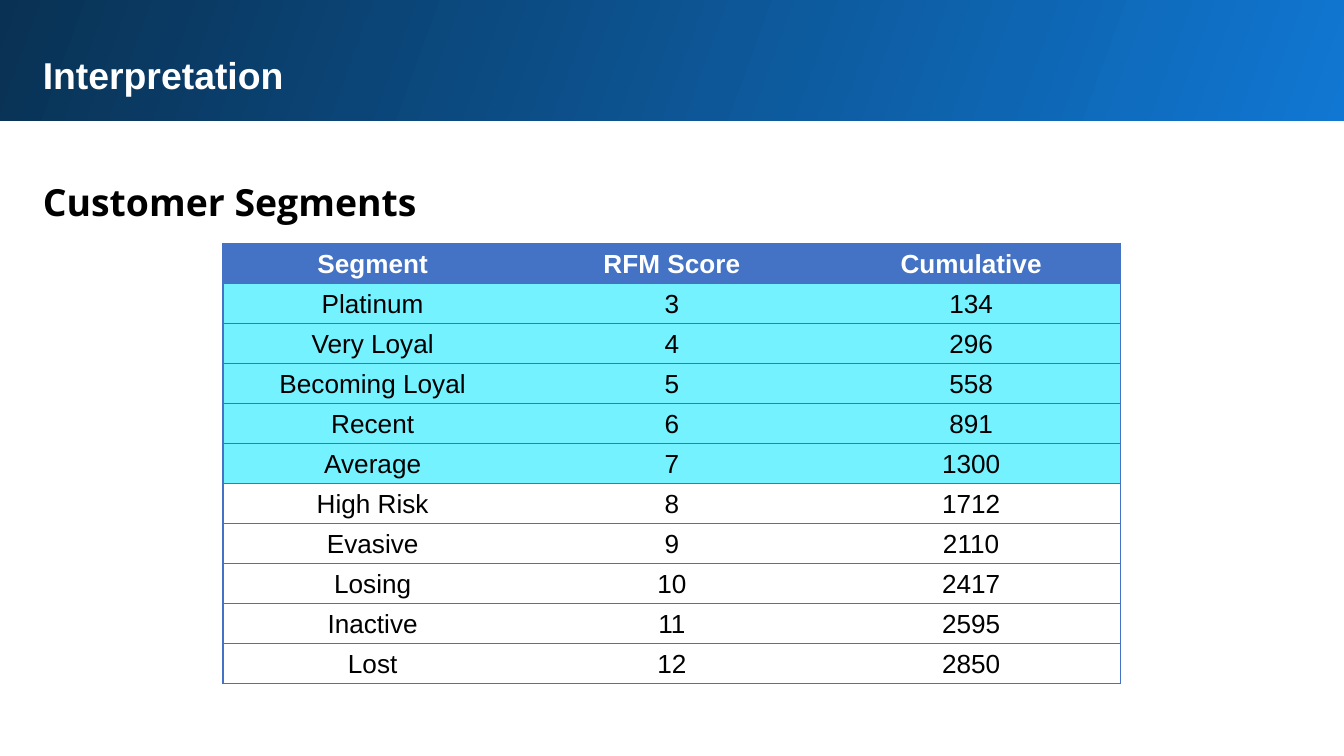
from lxml import etree
from pptx import Presentation
from pptx.dml.color import RGBColor
from pptx.enum.shapes import MSO_SHAPE
from pptx.enum.text import MSO_ANCHOR, MSO_AUTO_SIZE, PP_ALIGN
from pptx.oxml.ns import qn
from pptx.util import Inches, Pt

RECTANGLE = MSO_SHAPE.RECTANGLE
MIDDLE = MSO_ANCHOR.MIDDLE
FIT_SHAPE = MSO_AUTO_SIZE.SHAPE_TO_FIT_TEXT
CENTER = PP_ALIGN.CENTER

COLORS = {
    "white": "FFFFFF",
    "black": "000000",
    "bright": "1077D2",
    "navy": "093153",
    "header": "4472C4",
    "highlight": "75F2FF",
}
SLIDE_WIDTH = 10
SLIDE_HEIGHT = SLIDE_WIDTH * 9 / 16
TABLE_WIDTH = 6.68
TABLE_HEIGHT = 3.28
BORDER_WIDTH = 0.75
HIGHLIGHTED_ROWS = 5
SEGMENTS = [
    ("Segment", "RFM Score", "Cumulative"),
    ("Platinum", 3, 134),
    ("Very Loyal", 4, 296),
    ("Becoming Loyal", 5, 558),
    ("Recent", 6, 891),
    ("Average", 7, 1300),
    ("High Risk", 8, 1712),
    ("Evasive", 9, 2110),
    ("Losing", 10, 2417),
    ("Inactive", 11, 2595),
    ("Lost", 12, 2850),
]


def rgb(name):
    return RGBColor.from_string(COLORS[name])


def set_attributes(target, values):
    for name, value in values.items():
        setattr(target, name, value)


def write_text(paragraph, text, size, font_name, color, bold):
    run = paragraph.add_run()
    run.text = text
    set_attributes(run.font, {"size": Pt(size), "name": font_name, "bold": bold})
    run.font.color.rgb = rgb(color)


def add_banner(slide, left, top, width, height):
    shape = slide.shapes.add_shape(
        RECTANGLE, Inches(left), Inches(top), Inches(width), Inches(height)
    )
    shape.shadow.inherit = False
    shape.line.fill.background()
    shape.fill.gradient()
    shape.fill.gradient_angle = 160
    for stop, color, position in zip(
        shape.fill.gradient_stops, ("bright", "navy"), (0, 1)
    ):
        stop.position = position
        stop.color.rgb = rgb(color)


def add_heading(slide, text, top, height, font_name, color, line_spacing):
    shape = slide.shapes.add_textbox(
        Inches(0.22), Inches(top), Inches(9.37), Inches(height)
    )
    frame = shape.text_frame
    margins = ("margin_left", "margin_right", "margin_top", "margin_bottom")
    set_attributes(frame, {name: Inches(0.1) for name in margins})
    set_attributes(frame, {"word_wrap": True, "auto_size": FIT_SHAPE})
    paragraph = frame.paragraphs[0]
    paragraph.line_spacing = line_spacing
    write_text(paragraph, text, 20, font_name, color, True)


def set_borders(cell, visible_sides):
    properties = cell._tc.get_or_add_tcPr()
    for side in "LRTB":
        line = etree.SubElement(
            properties, qn(f"a:ln{side}"), w=str(Pt(BORDER_WIDTH))
        )
        if side in visible_sides:
            fill = etree.SubElement(line, qn("a:solidFill"))
            etree.SubElement(fill, qn("a:srgbClr"), val=COLORS["header"])
        else:
            etree.SubElement(line, qn("a:noFill"))


def fill_cell(cell, text, fill_color, text_color, bold, visible_sides):
    set_borders(cell, visible_sides)
    if fill_color:
        cell.fill.solid()
        cell.fill.fore_color.rgb = rgb(fill_color)
    else:
        cell.fill.background()
    set_attributes(cell, {
        "vertical_anchor": MIDDLE,
        "margin_left": Inches(0.01),
        "margin_right": Inches(0.01),
        "margin_top": Inches(0.01),
        "margin_bottom": 0,
    })
    paragraph = cell.text_frame.paragraphs[0]
    paragraph.alignment = CENTER
    write_text(paragraph, text, 14, "Arial", text_color, bold)


def row_fill(row_index):
    if row_index == 0:
        return "header"
    return "highlight" if row_index <= HIGHLIGHTED_ROWS else None


def add_segment_table(slide, top):
    row_count, column_count = len(SEGMENTS), len(SEGMENTS[0])
    table = slide.shapes.add_table(
        row_count, column_count,
        Inches((SLIDE_WIDTH - TABLE_WIDTH) / 2), Inches(top),
        Inches(TABLE_WIDTH), Inches(TABLE_HEIGHT),
    ).table
    table.horz_banding = False
    column_sides = ("LTB", "TB", "RTB")
    for row_index, values in enumerate(SEGMENTS):
        is_header = row_index == 0
        text_color = "white" if is_header else "black"
        for column_index, value in enumerate(values):
            fill_cell(
                table.cell(row_index, column_index), str(value),
                row_fill(row_index), text_color, is_header,
                column_sides[column_index],
            )


def main():
    presentation = Presentation()
    set_attributes(presentation, {
        "slide_width": Inches(SLIDE_WIDTH),
        "slide_height": Inches(SLIDE_HEIGHT),
    })
    slide = presentation.slides.add_slide(presentation.slide_layouts[6])
    add_banner(slide, -0.02, -0.02, 10.05, 0.92)
    add_heading(slide, "Interpretation", 0.29, 0.83, "Arial", "white", 1.0)
    add_heading(slide, "Customer Segments", 1.18, 0.56, "Open Sans", "black", 1.15)
    add_segment_table(slide, 1.81)
    presentation.save("out.pptx")


if __name__ == "__main__":
    main()
